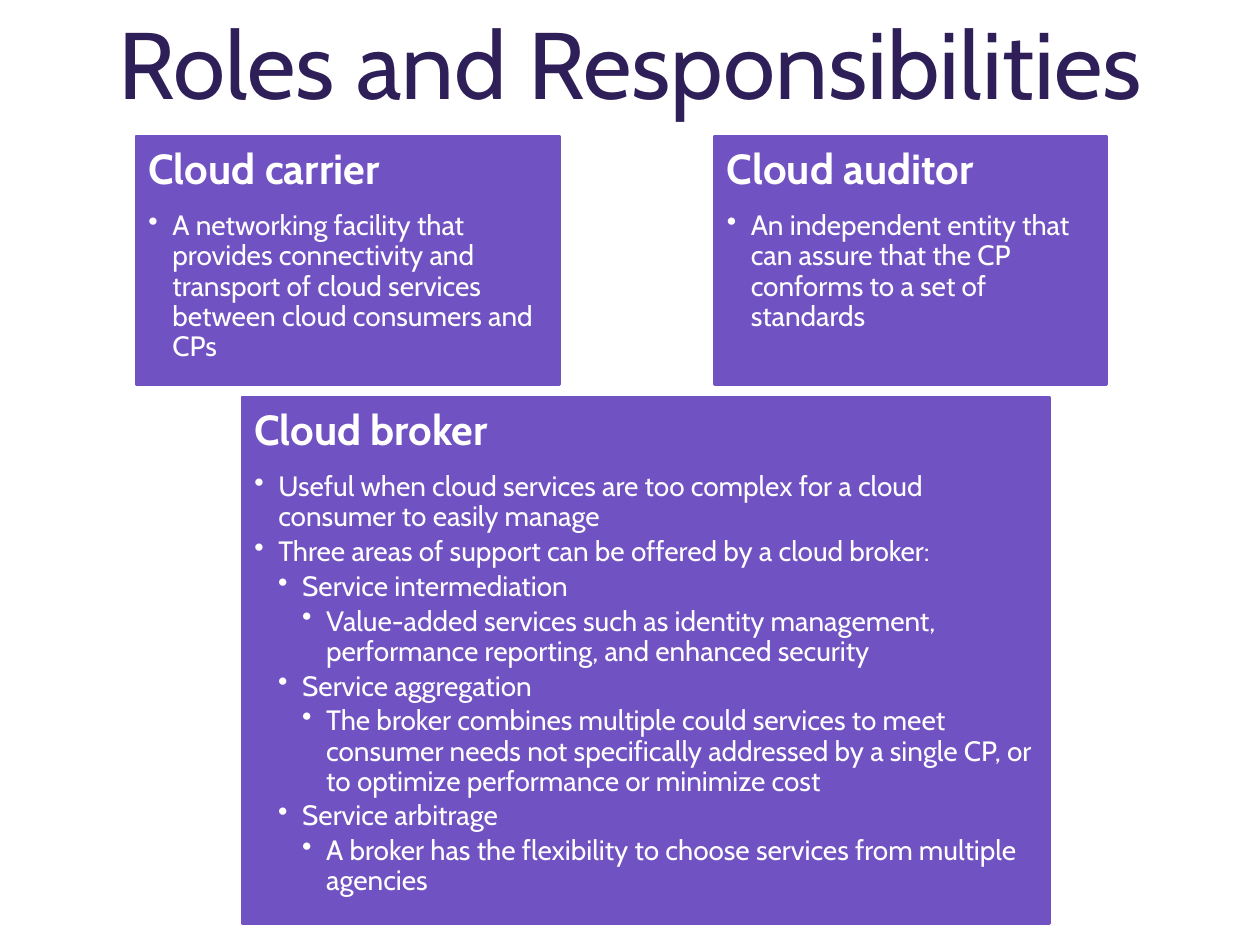
from dataclasses import dataclass

from lxml.etree import SubElement
from pptx import Presentation
from pptx.dml.color import RGBColor
from pptx.enum.shapes import MSO_SHAPE
from pptx.enum.text import MSO_ANCHOR, MSO_AUTO_SIZE, PP_ALIGN
from pptx.oxml.ns import qn
from pptx.slide import Slide
from pptx.text.text import _Paragraph
from pptx.util import Inches, Pt


@dataclass(frozen=True)
class Theme:
    font: str = "Cabin"
    title_color: RGBColor = RGBColor(0x2F, 0x1F, 0x58)
    card_color: RGBColor = RGBColor(0x71, 0x52, 0xC2)
    card_text: RGBColor = RGBColor(0xFF, 0xFF, 0xFF)
    title_size: int = 54
    heading_size: int = 24
    bullet_size: int = 16


@dataclass(frozen=True)
class Bullet:
    level: int
    text: str


@dataclass(frozen=True)
class Role:
    """A role card; left, top, width and height are in inches."""
    left: float
    top: float
    width: float
    height: float
    heading: str
    bullets: tuple[Bullet, ...]


THEME = Theme()
INDENT = 0.19
TOP_ROW, TOP_HEIGHT = 1.08, 1.97

ROLES = (
    Role(1.08, TOP_ROW, 3.36, TOP_HEIGHT, "Cloud carrier", (
        Bullet(1, "A networking facility that provides connectivity and transport of "
                  "cloud services between cloud consumers and CPs"),
    )),
    Role(1.92, 3.15, 6.41, 4.18, "Cloud broker", (
        Bullet(1, "Useful when cloud services are too complex for a cloud consumer "
                  "to easily manage"),
        Bullet(1, "Three areas of support can be offered by a cloud broker:"),
        Bullet(2, "Service intermediation"),
        Bullet(3, "Value-added services such as identity management, performance "
                  "reporting, and enhanced security"),
        Bullet(2, "Service aggregation"),
        Bullet(3, "The broker combines multiple could services to meet consumer needs "
                  "not specifically addressed by a single CP, or to optimize "
                  "performance or minimize cost"),
        Bullet(2, "Service arbitrage"),
        Bullet(3, "A broker has the flexibility to choose services from multiple agencies"),
    )),
    Role(5.67, TOP_ROW, 3.11, TOP_HEIGHT, "Cloud auditor", (
        Bullet(1, "An independent entity that can assure that the CP conforms to a set "
                  "of standards"),
    )),
)


def add_run(paragraph: _Paragraph, text: str, size: int, color: RGBColor,
            bold: bool = False) -> None:
    run = paragraph.add_run()
    run.text = text
    run.font.name = THEME.font
    run.font.size = Pt(size)
    run.font.bold = bold
    run.font.color.rgb = color


def set_bullet(paragraph: _Paragraph, level: int) -> None:
    paragraph.level = level
    properties = paragraph._p.get_or_add_pPr()
    properties.set("marL", str(Inches(INDENT * level)))
    properties.set("indent", str(-Inches(INDENT)))
    SubElement(properties, qn("a:buChar"), char="•")


def format_paragraph(paragraph: _Paragraph, space_after: float) -> None:
    paragraph.alignment = PP_ALIGN.LEFT
    paragraph.line_spacing = 0.9
    paragraph.space_after = Pt(space_after)


def add_title(slide: Slide, text: str) -> None:
    title = slide.shapes.title
    title.left, title.top = Inches(0), Inches(-0.25)
    title.width, title.height = Inches(10), Inches(1.55)
    frame = title.text_frame
    frame.auto_size = MSO_AUTO_SIZE.NONE
    frame.vertical_anchor = MSO_ANCHOR.MIDDLE
    heading = frame.paragraphs[0]
    heading.alignment = PP_ALIGN.CENTER
    heading.line_spacing = Pt(60)
    add_run(heading, text, THEME.title_size, THEME.title_color)


def add_role(slide: Slide, role: Role) -> None:
    card = slide.shapes.add_shape(
        MSO_SHAPE.RECTANGLE, Inches(role.left), Inches(role.top),
        Inches(role.width), Inches(role.height))
    card.shadow.inherit = False
    card.fill.solid()
    card.fill.fore_color.rgb = THEME.card_color
    card.line.color.rgb = THEME.card_color
    card.line.width = Pt(1.5)

    frame = card.text_frame
    frame.word_wrap = True
    frame.vertical_anchor = MSO_ANCHOR.TOP
    frame.margin_left = frame.margin_right = Inches(0.1)
    frame.margin_top = frame.margin_bottom = Inches(0.1)

    heading = frame.paragraphs[0]
    format_paragraph(heading, space_after=10)
    add_run(heading, role.heading, THEME.heading_size, THEME.card_text, bold=True)
    for bullet in role.bullets:
        item = frame.add_paragraph()
        set_bullet(item, bullet.level)
        format_paragraph(item, space_after=2.6)
        add_run(item, bullet.text, THEME.bullet_size, THEME.card_text)


def main() -> None:
    deck = Presentation()
    deck.slide_width, deck.slide_height = Inches(10), Inches(7.5)
    title_only = deck.slide_layouts.get_by_name("Title Only")
    slide = deck.slides.add_slide(title_only)
    add_title(slide, "Roles and Responsibilities")
    for role in ROLES:
        add_role(slide, role)
    deck.save("out.pptx")


if __name__ == "__main__":
    main()
